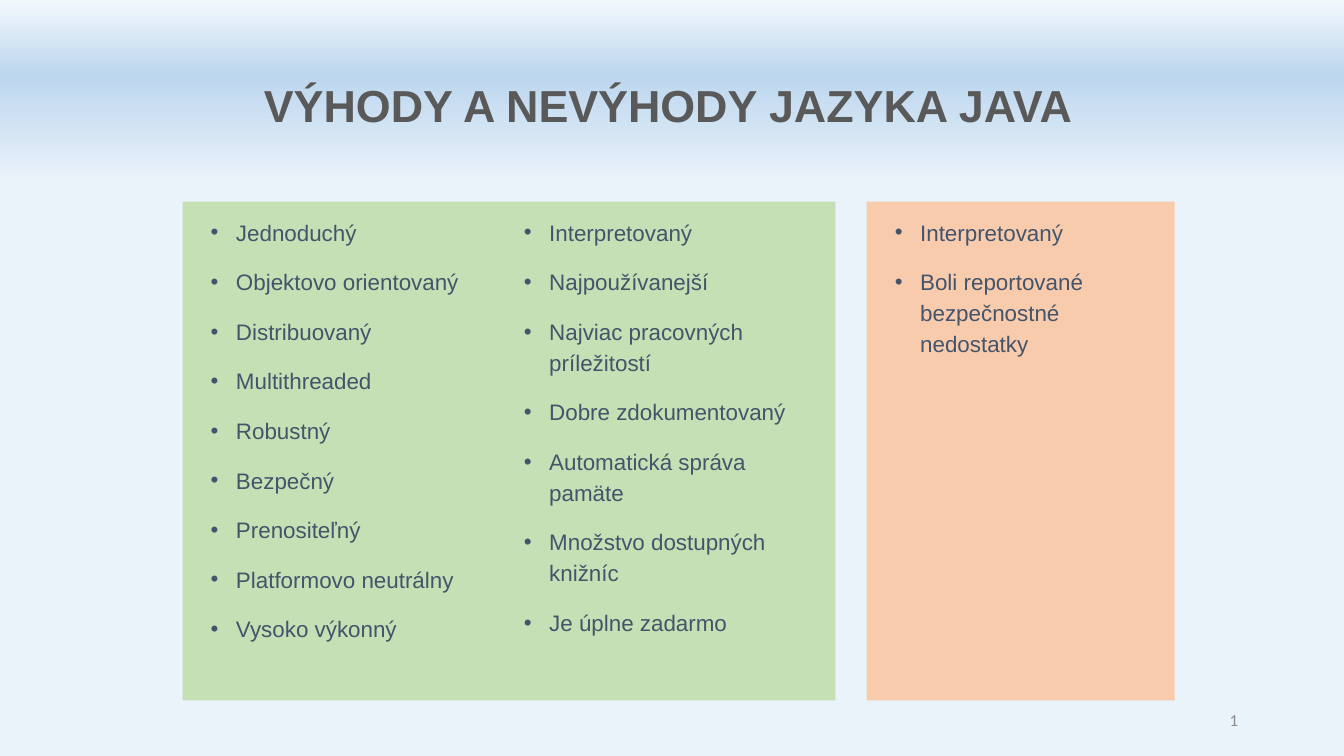
from dataclasses import dataclass

from lxml import etree
from pptx import Presentation
from pptx.dml.color import RGBColor
from pptx.enum.text import MSO_ANCHOR, MSO_AUTO_SIZE, PP_ALIGN
from pptx.oxml.ns import qn
from pptx.util import Cm, Pt

LEFT, MID, RIGHT = PP_ALIGN.LEFT, PP_ALIGN.CENTER, PP_ALIGN.RIGHT
TOP, CENTER = MSO_ANCHOR.TOP, MSO_ANCHOR.MIDDLE
NO_FIT = MSO_AUTO_SIZE.NONE


@dataclass(frozen=True)
class Theme:
    font: str = "Arial"
    num_font: str = "Calibri"
    head: str = "595959"
    ink: str = "44546A"
    gray: str = "8C8C8C"
    green: str = "C5E0B4"
    peach: str = "F8CBAD"
    sky: tuple = ((0, "F2F7FC"), (10, "BDD7EE"), (24, "EAF2FA"))
    head_size: int = 24
    list_size: int = 12
    num_size: int = 9


theme = Theme()


def set_frame(shape, box, anchor):
    shape.left, shape.top, shape.width, shape.height = [Cm(v) for v in box]
    frame = shape.text_frame
    frame.word_wrap = True
    frame.auto_size = NO_FIT
    frame.vertical_anchor = anchor
    frame.margin_left = frame.margin_right = Cm(0.25)
    frame.margin_top = frame.margin_bottom = Cm(0.25)
    return frame


def set_font(font, name, size, color, bold=False):
    font.name, font.size, font.bold = name, Pt(size), bold
    font.color.rgb = RGBColor.from_string(color)


deck = Presentation()
deck.slide_width, deck.slide_height = Cm(25.4), Cm(14.29)
slide = deck.slides.add_slide(deck.slide_layouts[3])
title, pros, cons = slide.placeholders

# Background gradient, top to bottom
fill = slide.background.fill
fill.gradient()
fill.gradient_angle = 270
stops = slide.element.find(".//" + qn("a:gsLst"))
for stop in list(stops):
    stops.remove(stop)
for pos, color in theme.sky:
    stop = etree.SubElement(stops, qn("a:gs"), pos=str(pos * 1000))
    etree.SubElement(stop, qn("a:srgbClr"), val=color)

# Title
frame = set_frame(title, (0.66, 1.17, 23.93, 1.63), CENTER)
para = frame.paragraphs[0]
para.alignment = MID
run = para.add_run()
run.text = "VÝHODY A NEVÝHODY JAZYKA JAVA"
set_font(run.font, theme.font, theme.head_size, theme.head, True)

# Lists of pros and cons
good = [
    "Jednoduchý", "Objektovo orientovaný", "Distribuovaný",
    "Multithreaded", "Robustný", "Bezpečný", "Prenositeľný",
    "Platformovo neutrálny", "Vysoko výkonný", "Interpretovaný",
    "Najpoužívanejší", "Najviac pracovných príležitostí",
    "Dobre zdokumentovaný", "Automatická správa pamäte",
    "Množstvo dostupných knižníc", "Je úplne zadarmo",
]
bad = ["Interpretovaný", "Boli reportované bezpečnostné nedostatky"]
panels = [
    (cons, 16.38, 5.82, theme.peach, 1, bad),
    (pros, 3.45, 12.34, theme.green, 2, good),
]
for panel, left, width, color, cols, items in panels:
    frame = set_frame(panel, (left, 3.81, width, 9.43), TOP)
    panel.fill.solid()
    panel.fill.fore_color.rgb = RGBColor.from_string(color)
    body = panel.element.find(".//" + qn("a:bodyPr"))
    body.set("numCol", str(cols))
    body.set("spcCol", "0")
    for i, item in enumerate(items):
        para = frame.add_paragraph() if i else frame.paragraphs[0]
        para.alignment = LEFT
        para.line_spacing = 1.15
        para.space_before, para.space_after = Pt(10), Pt(0)
        props = para._p.get_or_add_pPr()
        props.set("marL", str(Cm(0.76)))
        props.set("indent", str(Cm(-0.48)))
        tint = etree.SubElement(props, qn("a:buClr"))
        etree.SubElement(tint, qn("a:srgbClr"), val=theme.ink)
        etree.SubElement(props, qn("a:buFont"), typeface=theme.font)
        etree.SubElement(props, qn("a:buChar"), char="•")
        run = para.add_run()
        run.text = item
        set_font(run.font, theme.font, theme.list_size, theme.ink)

# Slide number as a live field
box = (17.93, 13.23, 5.72, 0.76)
note = slide.shapes.add_textbox(*[Cm(v) for v in box])
frame = set_frame(note, box, CENTER)
frame.margin_top = frame.margin_bottom = Cm(0.13)
para = frame.paragraphs[0]
para.alignment = RIGHT
run = para.add_run()
run.text = "1"
set_font(run.font, theme.num_font, theme.num_size, theme.gray)
field = etree.SubElement(
    para._p, qn("a:fld"), type="slidenum",
    id="{B6F15528-21DE-4FAA-801E-634DDDAF4B2B}")
for part in list(run._r):
    field.append(part)
para._p.remove(run._r)

deck.save("out.pptx")
